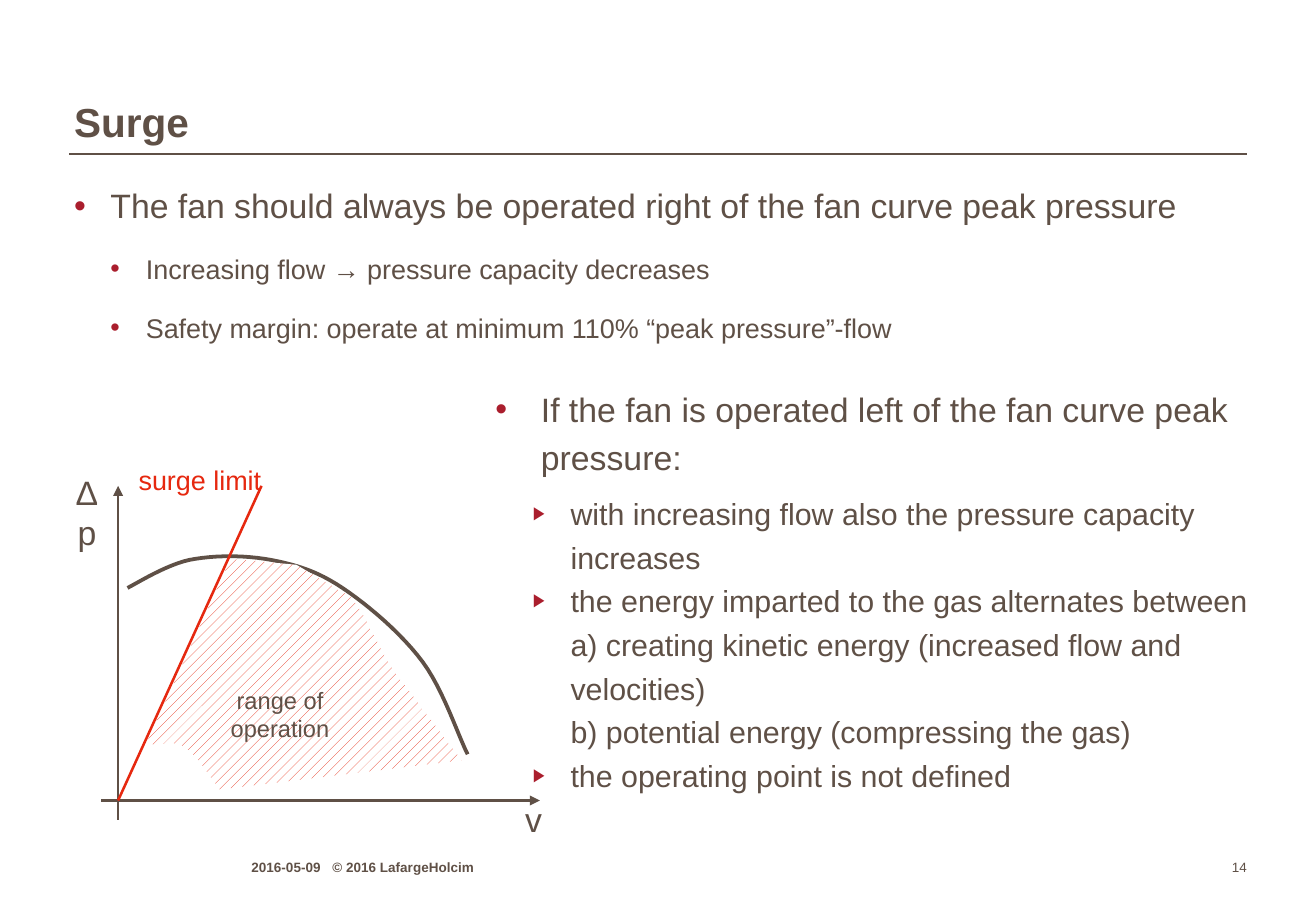
"""Build the slide on fan surge: bullets, fan curve sketch and footer."""
from lxml import etree
from pptx import Presentation
from pptx import util as u
from pptx.dml import color
from pptx.enum import dml, shapes, text
from pptx.oxml import ns

BROWN, RED, BULLET = "5F5046", "E6280F", "AA1E2D"
STEPS = 12
rgb = color.RGBColor.from_string
LEFT, CENTER, RIGHT = text.PP_ALIGN.LEFT, text.PP_ALIGN.CENTER, text.PP_ALIGN.RIGHT
TOP, BOTTOM = text.MSO_ANCHOR.TOP, text.MSO_ANCHOR.BOTTOM

prs = Presentation()
prs.slide_width, prs.slide_height = u.Pt(780), u.Pt(540)
s = prs.slides.add_slide(prs.slide_layouts[6])


def add_text(box, content, size, hue=BROWN, bold=False, align=LEFT,
             anchor=TOP, insets=(0, 0, 0, 0), wrap=True):
    sp = s.shapes.add_textbox(*[u.Pt(v) for v in box])
    tf = sp.text_frame
    tf.word_wrap, tf.vertical_anchor = wrap, anchor
    tf.margin_left, tf.margin_top, tf.margin_right, tf.margin_bottom = [u.Pt(v) for v in insets]
    p = tf.paragraphs[0]
    p.alignment = align
    add_run(p, content, size, hue, bold)
    return tf


def add_run(p, content, size, hue=BROWN, bold=False):
    for i, line in enumerate(content.split("\n")):
        if i:
            p.add_line_break()
        r = p.add_run()
        r.text = line
        r.font.name, r.font.size, r.font.bold = "Arial", u.Pt(size), bold
        r.font.color.rgb = rgb(hue)


add_text((44, 25, 691, 63), "Surge", 24, bold=True, anchor=BOTTOM,
         insets=(0, 0, 0, 1)).paragraphs[0].line_spacing = 0.95

bullet_boxes = [
    ((44, 105, 692, 402), (0, 0, 0, 0), [
        (0, "•", 100, 20, 21.5, 21.5, 0, 0,
         "The fan should always be operated right of the fan curve peak pressure"),
        (1, "•", 100, 16, 42.5, 21, 12, 0, "Increasing flow → pressure capacity decreases"),
        (1, "•", 100, 16, 42.5, 21, 12, 0,
         "Safety margin: operate at minimum 110% “peak pressure”-flow"),
    ]),
    ((286.5, 222, 489, 230), (7.2, 3.6, 7.2, 3.6), [
        (0, "•", 100, 20, 27, 27, 0, 6,
         "If the fan is operated left of the fan curve peak pressure:"),
        (1, "▶", 60, 18, 44.6, 22.3, 0, 0,
         "with increasing flow also the pressure capacity increases"),
        (1, "▶", 60, 18, 44.6, 22.3, 0, 0,
         "the energy imparted to the gas alternates between\n"
         "a) creating kinetic energy (increased flow and velocities)\n"
         "b) potential energy (compressing the gas)"),
        (1, "▶", 60, 18, 44.6, 22.3, 0, 0, "the operating point is not defined"),
    ]),
]
for box, insets, items in bullet_boxes:
    tf = s.shapes.add_textbox(*[u.Pt(v) for v in box]).text_frame
    tf.word_wrap = True
    tf.margin_left, tf.margin_top, tf.margin_right, tf.margin_bottom = [u.Pt(v) for v in insets]
    for i, (level, mark, percent, size, margin, hang, before, after, line) in enumerate(items):
        p = tf.add_paragraph() if i else tf.paragraphs[0]
        p.level, p.line_spacing = level, 1.2
        p.space_before, p.space_after = u.Pt(before), u.Pt(after)
        pPr = p._p.get_or_add_pPr()
        pPr.set("marL", str(u.Pt(margin)))
        pPr.set("indent", str(-u.Pt(hang)))
        clr = etree.SubElement(pPr, ns.qn("a:buClr"))
        etree.SubElement(clr, ns.qn("a:srgbClr"), val=BULLET)
        etree.SubElement(pPr, ns.qn("a:buSzPct"), val=str(percent * 1000))
        etree.SubElement(pPr, ns.qn("a:buFont"), typeface="Arial")
        etree.SubElement(pPr, ns.qn("a:buChar"), char=mark)
        add_run(p, line, size)

fan_curve = [
    (75.6, 348.5),
    ((81.4, 345.6), (98.6, 334.8), (112.3, 331.9)),
    ((126.7, 329), (145.4, 329), (160.6, 331.9)),
    ((175.7, 334.8), (187.9, 338.4), (203, 348.5)),
    ((218.2, 358.6), (238.3, 375.8), (250.6, 392.4)),
    ((262.8, 409), (271.4, 435.6), (277.2, 447.1)),
]
operating_range = [
    (86.4, 441.4), (136.8, 331.2), (175.7, 334.8), (207.4, 353.5),
    ((216.7, 363.6), (222.5, 380.9), (233.3, 397.4)),
    (273.6, 450.7), (130.3, 468), (116.6, 449.3),
    ((112.3, 445), (109.4, 442.1), (104.4, 440.6)),
]
for outline, closed in [(fan_curve, False), (operating_range, True)]:
    points = outline[:1]
    for step in outline[1:]:
        if len(step) == 2:
            points.append(step)
            continue
        a, (b, c, d) = points[-1], step
        for k in range(1, STEPS + 1):
            t = k / STEPS
            weights = ((1 - t) ** 3, 3 * t * (1 - t) ** 2, 3 * t * t * (1 - t), t ** 3)
            points.append(tuple(sum(w * q[axis] for w, q in zip(weights, (a, b, c, d)))
                                for axis in (0, 1)))
    points = [(u.Pt(x), u.Pt(y)) for x, y in points]
    builder = s.shapes.build_freeform(*points[0])
    builder.add_line_segments(points[1:], close=closed)
    sp = builder.convert_to_shape()
    sp.shadow.inherit = False
    if closed:
        sp.fill.patterned()
        sp.fill.pattern = dml.MSO_PATTERN.PERCENT_20
        sp.fill.fore_color.rgb, sp.fill.back_color.rgb = rgb(RED), rgb("FFFFFF")
        sp.line.fill.background()
    else:
        sp.fill.background()
        sp.line.color.rgb, sp.line.width = rgb(BROWN), u.Pt(2.25)

lines = [
    ((41, 91.5, 739, 91.5), BROWN, 1, False),
    ((70, 486, 70, 288), BROWN, 1.5, True),
    ((60, 474.5, 320, 474.5), BROWN, 1.5, True),
    ((70, 474.5, 155, 288), RED, 1.5, False),
]
for ends, hue, width, arrow in lines:
    line = s.shapes.add_connector(shapes.MSO_CONNECTOR.STRAIGHT, *[u.Pt(v) for v in ends])
    line.line.color.rgb, line.line.width = rgb(hue), u.Pt(width)
    if arrow:
        etree.SubElement(line.line._get_or_add_ln(), ns.qn("a:tailEnd"), type="triangle")
    etree.SubElement(line._element.spPr, ns.qn("a:effectLst"))

labels = [
    ((32.5, 276, 38, 31), "Δp", 20, BROWN, 7.2, True),
    ((304, 470, 24.5, 31), "v", 20, BROWN, 7.2, False),
    ((102, 403, 128, 24), "range of operation", 14, BROWN, 12, True),
    ((75, 271.5, 87, 26.5), "surge limit", 16, RED, 7.2, False),
]
for box, label, size, hue, side, wrap in labels:
    add_text(box, label, size, hue, align=CENTER, insets=(side, 3.6, side, 3.6), wrap=wrap)

footer = add_text((149, 505.5, 250, 13), "2016-05-09\t© 2016 LafargeHolcim", 8,
                  bold=True, anchor=BOTTOM)
tabs = etree.SubElement(footer.paragraphs[0]._p.get_or_add_pPr(), ns.qn("a:tabLst"))
etree.SubElement(tabs, ns.qn("a:tab"), pos=str(u.Pt(48)), algn="l")
add_text((705, 505.5, 34, 13), "14", 8, align=RIGHT, anchor=BOTTOM)

prs.save("out.pptx")
